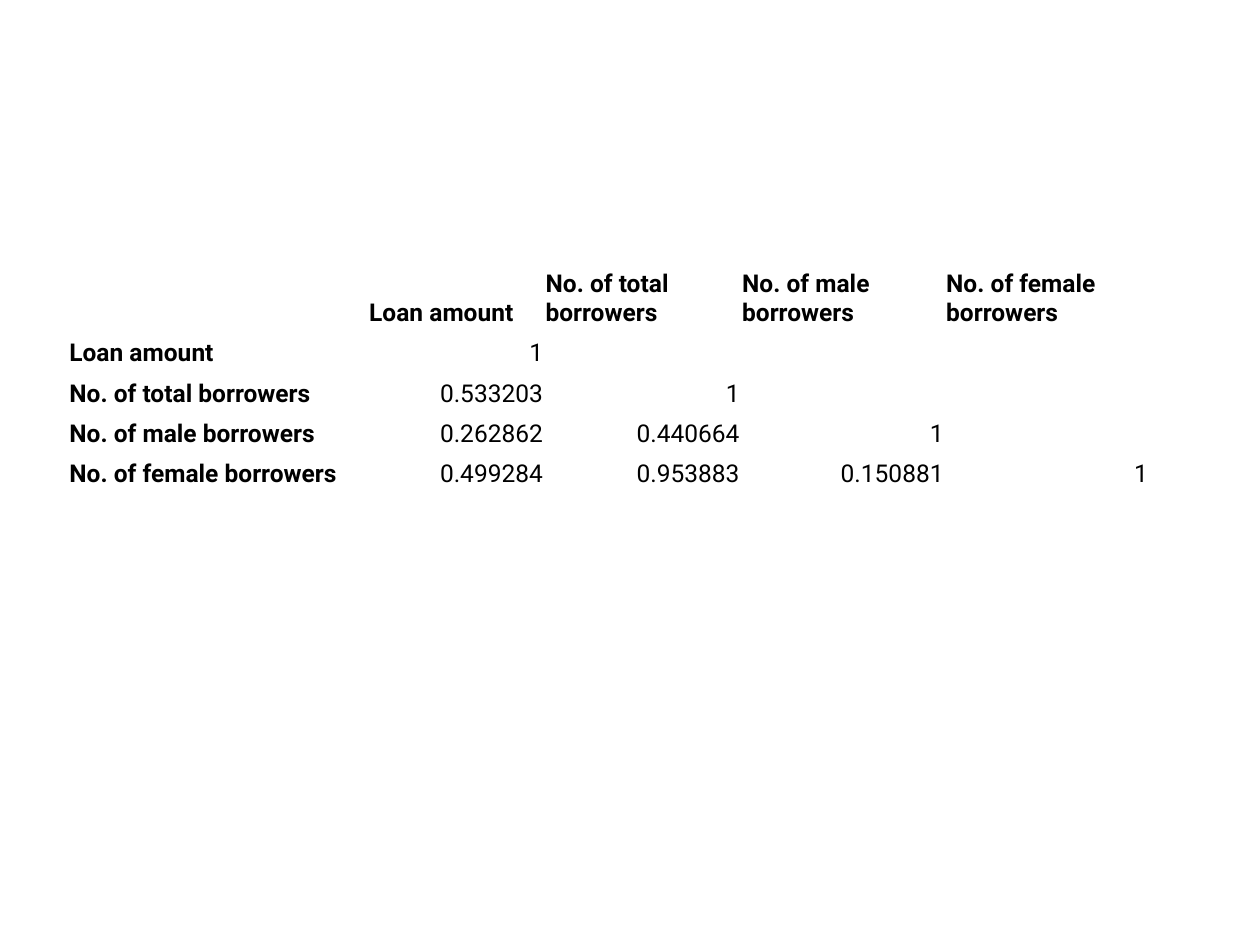
"""Build a slide with a correlation table of loan amounts and borrowers."""
from dataclasses import dataclass

from pptx import Presentation
from pptx.dml.color import RGBColor
from pptx.enum.text import MSO_ANCHOR, PP_ALIGN
from pptx.util import Inches, Pt

BOTTOM = MSO_ANCHOR.BOTTOM
LEFT, RIGHT = PP_ALIGN.LEFT, PP_ALIGN.RIGHT
BLANK_LAYOUT = 6


@dataclass(frozen=True)
class Theme:
    font: str = "Roboto"
    text_size: int = 14
    text_color: RGBColor = RGBColor(0, 0, 0)
    cell_inset: float = 0.01


class SlideBuilder:
    def __init__(self, slide, theme):
        self.slide = slide
        self.theme = theme

    def style_cell(self, cell, text, is_label):
        cell.fill.background()
        cell.vertical_anchor = BOTTOM
        cell.margin_left = cell.margin_right = cell.margin_top = Inches(self.theme.cell_inset)
        cell.margin_bottom = 0
        cell.text = text
        paragraph = cell.text_frame.paragraphs[0]
        paragraph.alignment = LEFT if is_label else RIGHT
        font = paragraph.font
        font.name = self.theme.font
        font.size = Pt(self.theme.text_size)
        font.bold = is_label
        font.color.rgb = self.theme.text_color

    def table(self, left, top, column_widths, row_heights, rows):
        frame = self.slide.shapes.add_table(
            len(rows), len(column_widths), Inches(left), Inches(top),
            Inches(sum(column_widths)), Inches(sum(row_heights)))
        table = frame.table
        table.first_row = table.horz_banding = False
        for column, width in zip(table.columns, column_widths):
            column.width = Inches(width)
        for row, height in zip(table.rows, row_heights):
            row.height = Inches(height)
        for row_index, row in enumerate(rows):
            for column_index in range(len(column_widths)):
                text = row[column_index] if column_index < len(row) else ""
                is_label = row_index == 0 or column_index == 0
                self.style_cell(table.cell(row_index, column_index), text, is_label)


presentation = Presentation()
presentation.slide_width, presentation.slide_height = Inches(10), Inches(7.5)
slide = presentation.slides.add_slide(presentation.slide_layouts[BLANK_LAYOUT])

variables = ["Loan amount", "No. of total borrowers",
             "No. of male borrowers", "No. of female borrowers"]
correlations = [
    ["1"],
    ["0.533203", "1"],
    ["0.262862", "0.440664", "1"],
    ["0.499284", "0.953883", "0.150881", "1"],
]
rows = [["", *variables]]
rows += [[variable, *values] for variable, values in zip(variables, correlations)]

builder = SlideBuilder(slide, Theme())
builder.table(0.54, 1.93, [2.38, 1.4, 1.56, 1.62, 1.62],
              [0.67] + [0.32] * len(variables), rows)

presentation.save("out.pptx")
